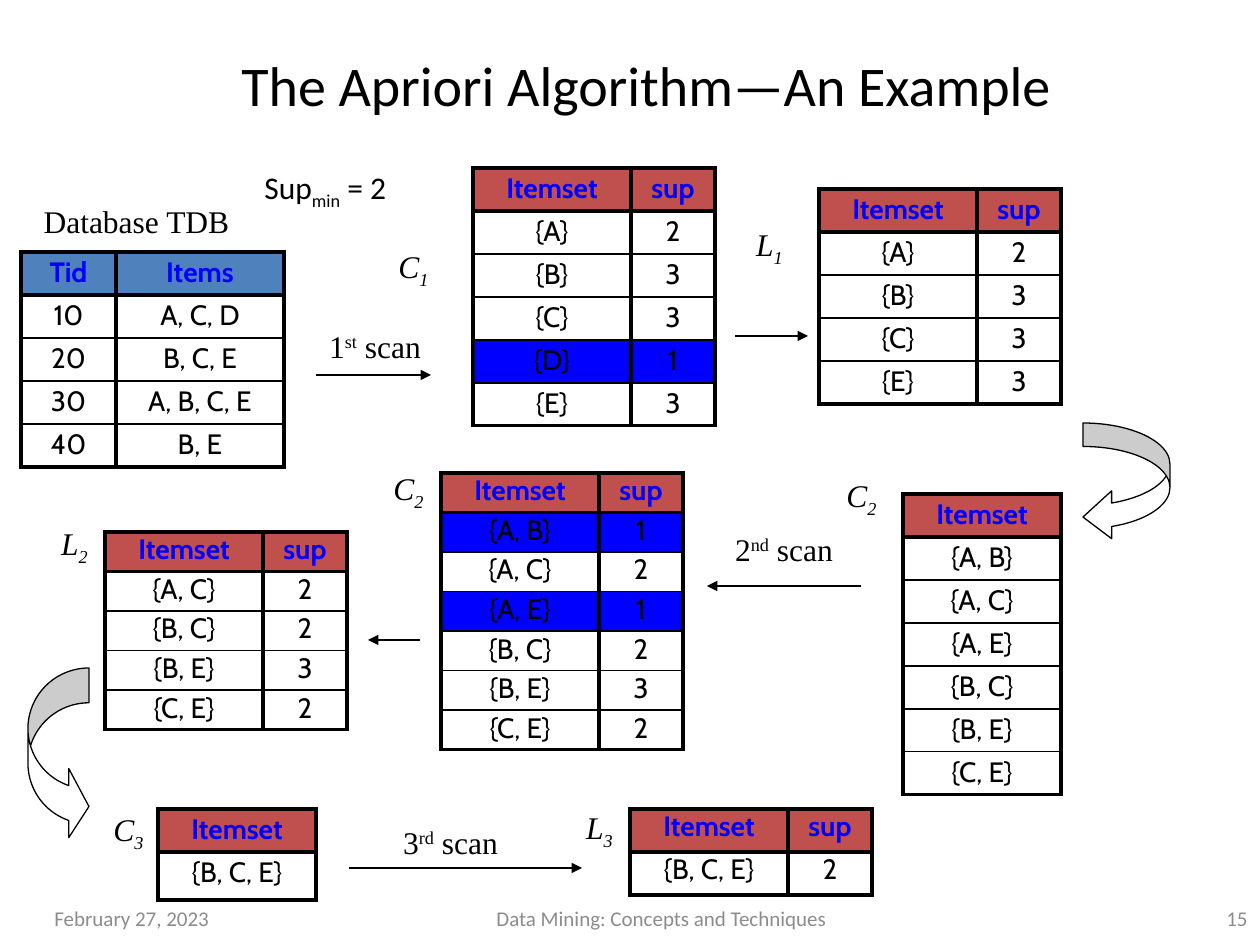
from lxml import etree
from pptx import Presentation
from pptx.dml.color import RGBColor
from pptx.enum.shapes import MSO_CONNECTOR, MSO_SHAPE
from pptx.enum.text import MSO_ANCHOR, PP_ALIGN
from pptx.oxml import parse_xml
from pptx.oxml.ns import nsdecls, qn
from pptx.util import Pt

PX = 914400 / 126
COLORS = {
    "ink": "000000", "paper": "FFFFFF", "footer": "8C8C8C",
    "heading": "0000FF", "pruned": "0000FF",
    "database": "4F81BD", "itemset": "C0504D",
}
RGB = {name: RGBColor.from_string(value) for name, value in COLORS.items()}
LEFT, CENTER, RIGHT = PP_ALIGN.LEFT, PP_ALIGN.CENTER, PP_ALIGN.RIGHT


def emu(*lengths):
    return [round(length * PX) for length in lengths]


def add_text(box, pieces, font, size, color, align, italic=False, wrap=False):
    frame = slide.shapes.add_textbox(*emu(*box)).text_frame
    frame.word_wrap = wrap
    frame.vertical_anchor = MSO_ANCHOR.MIDDLE
    paragraph = frame.paragraphs[0]
    paragraph.alignment = align
    for text, baseline in pieces:
        run = paragraph.add_run()
        run.text = text
        run.font.name = font
        run.font.size = Pt(size)
        run.font.italic = italic
        run.font.color.rgb = RGB[color]
        if baseline:
            run.font._element.set("baseline", str(baseline * 1000))


prs = Presentation()
prs.slide_width, prs.slide_height = emu(1260, 945)
slide = prs.slides.add_slide(prs.slide_layouts[5])

title = slide.shapes.title
title.left, title.top, title.width, title.height = emu(116, 42, 1074, 84)
title.text_frame.text = "The Apriori Algorithm—An Example "
title.text_frame.vertical_anchor = MSO_ANCHOR.MIDDLE
heading = title.text_frame.paragraphs[0]
heading.alignment = CENTER
heading.runs[0].font.name = "Calibri"
heading.runs[0].font.size = Pt(32)
heading.runs[0].font.color.rgb = RGB["ink"]

for left, width, text, align in [
    (42, 262, "February 27, 2023", LEFT),
    (462, 399, "Data Mining: Concepts and Techniques", CENTER),
    (998, 262, "15", RIGHT),
]:
    add_text((left, 892, width, 53), [(text, 0)], "Calibri", 12, "footer", align, wrap=True)

add_text((0, 189, 273, 63), [("Database TDB", 0)], "Times New Roman", 18, "ink", CENTER)
add_text((252, 158, 242, 63), [("Sup", 0), ("min", -25), (" = 2", 0)],
         "Calibri", 18, "ink", LEFT, wrap=True)

for left, top, width, number, suffix in [
    (300, 314, 150, "1", "st"), (704, 517, 160, "2", "nd"), (373, 810, 155, "3", "rd"),
]:
    add_text((left, top, width, 63), [(number, 0), (suffix, 30), (" scan", 0)],
             "Times New Roman", 18, "ink", CENTER)

for left, top, letter, index in [
    (381, 237, "C", "1"), (737, 215, "L", "1"), (42, 514, "L", "2"), (376, 459, "C", "2"),
    (829, 466, "C", "2"), (96, 800, "C", "3"), (567, 798, "L", "3"),
]:
    add_text((left, top, 65, 63), [(letter, 0), (index, -25)],
             "Times New Roman", 18, "ink", CENTER, italic=True)

for start, end, y in [
    (316, 431, 375), (735, 808, 336), (861, 707, 586), (420, 368, 640), (349, 582, 868),
]:
    arrow = slide.shapes.add_connector(MSO_CONNECTOR.STRAIGHT, *emu(start, y, end, y))
    arrow.line.color.rgb = RGB["ink"]
    arrow.line.width = Pt(0.75)
    etree.SubElement(arrow.line._get_or_add_ln(), qn("a:tailEnd"), type="triangle")
    etree.SubElement(arrow._element.spPr, qn("a:effectLst"))

for preset, box, adjustments in [
    (MSO_SHAPE.CURVED_LEFT_ARROW, (1083, 423, 87, 118), (0.27, 0.55, 0.33)),
    (MSO_SHAPE.CURVED_RIGHT_ARROW, (28, 668, 61, 173), (0.57, 1.13, 0.33)),
]:
    turn = slide.shapes.add_shape(preset, *emu(*box))
    turn.shadow.inherit = False
    turn.fill.solid()
    turn.fill.fore_color.rgb = RGB["paper"]
    turn.line.color.rgb = RGB["ink"]
    turn.line.width = Pt(0.75)
    for position, value in enumerate(adjustments):
        turn.adjustments[position] = value

ITEMSET, COUNTED = (158,), (158, 84)
TABLES = [
    (21, 252, (95, 168), 43, 43, 0.9, "database", [],
     ["Tid|Items", "10|A, C, D", "20|B, C, E", "30|A, B, C, E", "40|B, E"]),
    (473, 168, COUNTED, 43, 43, 0.9, "itemset", [4],
     ["Itemset|sup", "{A}|2", "{B}|3", "{C}|3", "{D}|1", "{E}|3"]),
    (819, 189, COUNTED, 43, 43, 0.9, "itemset", [],
     ["Itemset|sup", "{A}|2", "{B}|3", "{C}|3", "{E}|3"]),
    (903, 494, ITEMSET, 43, 43, 0.9, "itemset", [],
     ["Itemset", "{A, B}", "{A, C}", "{A, E}", "{B, C}", "{B, E}", "{C, E}"]),
    (441, 473, COUNTED, 39, 39, 0.8, "itemset", [1, 3],
     ["Itemset|sup", "{A, B}|1", "{A, C}|2", "{A, E}|1", "{B, C}|2", "{B, E}|3", "{C, E}|2"]),
    (105, 532, COUNTED, 39, 39, 0.8, "itemset", [],
     ["Itemset|sup", "{A, C}|2", "{B, C}|2", "{B, E}|3", "{C, E}|2"]),
    (158, 809, ITEMSET, 43, 48, 0.9, "itemset", [], ["Itemset", "{B, C, E}"]),
    (630, 809, COUNTED, 43, 43, 0.8, "itemset", [], ["Itemset|sup", "{B, C, E}|2"]),
]
for left, top, widths, pitch, last_height, spacing, head, pruned, rows in TABLES:
    last = len(rows) - 1
    table = slide.shapes.add_table(
        len(rows), len(widths), *emu(left, top, sum(widths), pitch * last + last_height)
    ).table
    table.first_row = table.horz_banding = False
    for column, width in zip(table.columns, emu(*widths)):
        column.width = width
    for r, line in enumerate(rows):
        table.rows[r].height = emu(last_height if r == last else pitch)[0]
        fill = head if r == 0 else "pruned" if r in pruned else None
        for c, text in enumerate(line.split("|")):
            cell = table.cell(r, c)
            cell.text_frame.text = text
            paragraph = cell.text_frame.paragraphs[0]
            paragraph.alignment = CENTER
            paragraph.line_spacing = spacing
            font = paragraph.runs[0].font
            font.name = "Cabin"
            font.size = Pt(16)
            font.bold = r == 0
            font.color.rgb = RGB["heading" if r == 0 else "ink"]
            if fill:
                cell.fill.solid()
                cell.fill.fore_color.rgb = RGB[fill]
            else:
                cell.fill.background()
            above = 2.25 if r < 2 else 1
            below = 2.25 if r in (0, last) else 1
            sides = [("L", 2.25), ("R", 2.25), ("T", above), ("B", below)]
            for place, (side, width) in enumerate(sides):
                cell._tc.get_or_add_tcPr().insert(place, parse_xml(
                    f'<a:ln{side} {nsdecls("a")} w="{Pt(width)}"><a:solidFill>'
                    f'<a:srgbClr val="{COLORS["ink"]}"/></a:solidFill></a:ln{side}>'))

prs.save("out.pptx")
